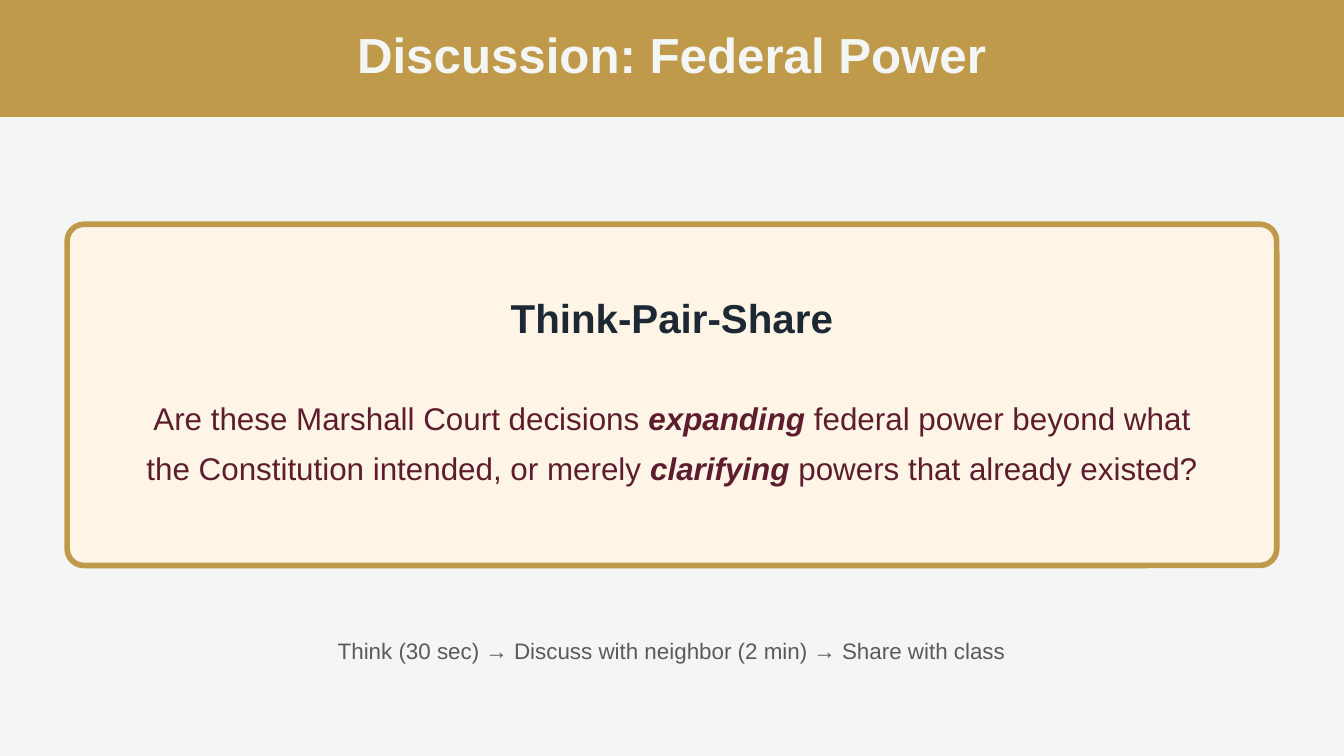
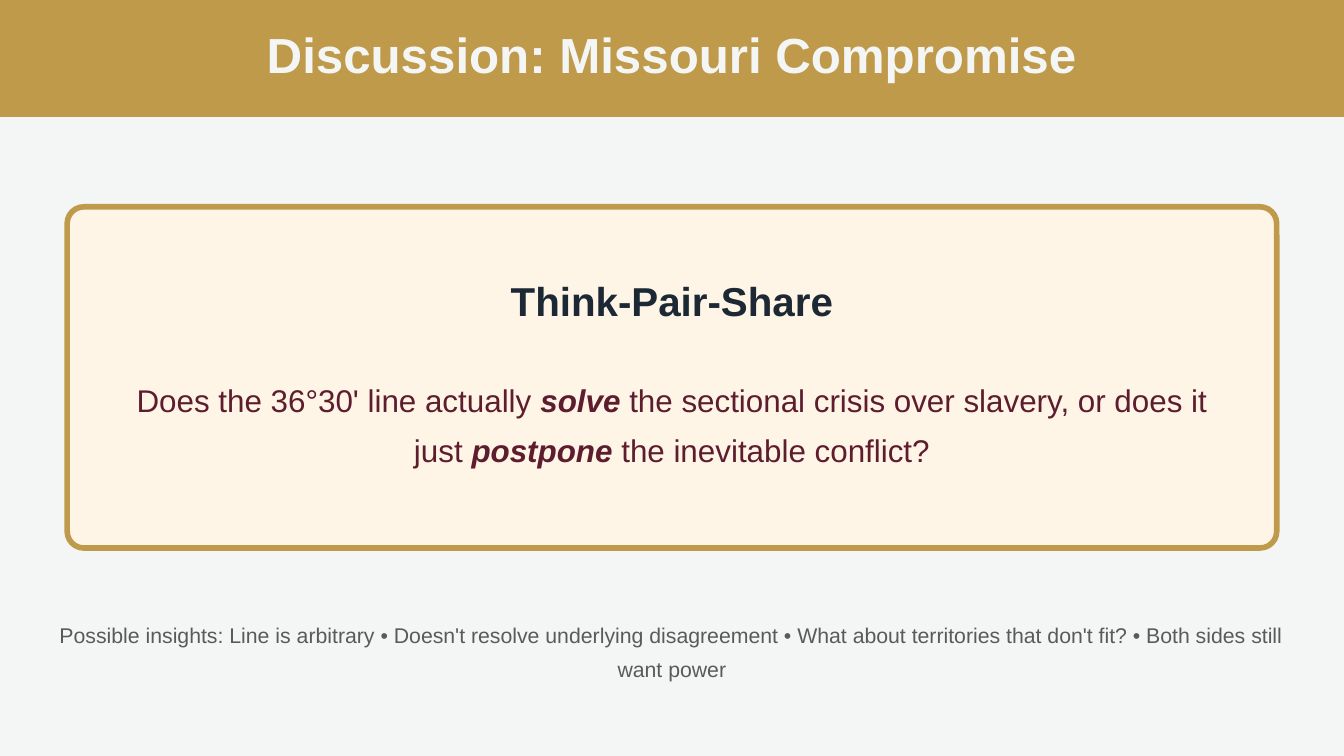
from pptx import Presentation
from pptx import util as u
from pptx.dml import color
from pptx.enum import shapes, text

WIDE, HIGH = 25.4, 14.29
GOLD, PALE, CREAM = "BF9A4A", "F4F6F6", "FFF5E6"
NAVY, WINE, GREY = "1C2833", "5D1D2E", "5A5A5A"
RECT = shapes.MSO_SHAPE.RECTANGLE
ROUND = shapes.MSO_SHAPE.ROUNDED_RECTANGLE

TALKS = [
    {
        "title": ("Discussion: Federal Power", 12.34),
        "top": 4.24,
        "ask": "Are these Marshall Court decisions *expanding* federal power beyond what "
               "the Constitution intended, or merely *clarifying* powers that already existed?",
        "foot": "Think (30 sec) → Discuss with neighbor (2 min) → Share with class",
        "area": (11.96, 12.88, 0.58),
        "size": 12,
        "lead": 16.8,
    },
    {
        "title": ("Discussion: Missouri Compromise", 15.62),
        "top": 3.91,
        "ask": "Does the 36°30' line actually *solve* the sectional crisis over slavery, "
               "or does it just *postpone* the inevitable conflict?",
        "foot": "Possible insights: Line is arbitrary • Doesn't resolve underlying disagreement "
                "• What about territories that don't fit? • Both sides still want power",
        "area": (11.61, 23.32, 1.3),
        "size": 11.4,
        "lead": 18.2,
    },
]


def paint(item, tone):
    """Give a fill or font the colour named by a hex string."""
    if hasattr(item, "solid"):
        item.solid()
        item = item.fore_color
    else:
        item = item.color
    item.rgb = color.RGBColor.from_string(tone)


def apply(item, form):
    """Set each attribute in a dict of format values."""
    for name, value in form.items():
        setattr(item, name, value)


def place(top, width, height):
    """Return the lengths of an area centred across the slide."""
    return [u.Cm(n) for n in ((WIDE - width) / 2, top, width, height)]


def panel(slide, kind, area, fill):
    """Add a plain filled shape without an outline."""
    shape = slide.shapes.add_shape(kind, *place(*area))
    shape.shadow.inherit = False
    paint(shape.fill, fill)
    shape.line.fill.background()
    return shape


def card(slide, top):
    """Add the rounded question card with its gold border."""
    shape = panel(slide, ROUND, (top, 22.86, 6.45), CREAM)
    shape.adjustments[0] = 0.049
    paint(shape.line.fill, GOLD)
    shape.line.width = u.Pt(3)


def label(slide, words, area, tone, size, lead, bold=False, before=0, after=0):
    """Add a centred line of text, with starred words in bold italic."""
    frame = slide.shapes.add_textbox(*place(*area)).text_frame
    apply(frame, {
        "word_wrap": True,
        "margin_left": 0,
        "margin_top": 0,
        "margin_right": 0,
        "margin_bottom": 0,
    })
    para = frame.paragraphs[0]
    apply(para, {
        "alignment": text.PP_ALIGN.CENTER,
        "line_spacing": u.Pt(lead),
        "space_before": u.Pt(before),
        "space_after": u.Pt(after),
    })
    for spot, part in enumerate(words.split("*")):
        run = para.add_run()
        run.text = part
        stress = spot % 2 == 1
        apply(run.font, {
            "name": "Arial",
            "size": u.Pt(size),
            "bold": bold or stress,
            "italic": stress,
        })
        paint(run.font, tone)


def header(slide, words, width):
    """Add the gold band and the slide title."""
    panel(slide, RECT, (0, WIDE, 2.21), GOLD)
    label(slide, words, (0.64, width, 0.94), PALE, 26.4, 26.4, bold=True)


def build(deck, talk):
    """Add one discussion slide."""
    slide = deck.slides.add_slide(deck.slide_layouts[6])
    paint(slide.background.fill, PALE)
    header(slide, *talk["title"])
    top = talk["top"]
    card(slide, top)
    label(slide, "Think-Pair-Share", (top + 1.37, 10.29, 0.84), NAVY, 21.6, 24,
          bold=True, after=24)
    label(slide, talk["ask"], (top + 3.06, 20.5, 1.9), WINE, 16.8, 26.9,
          before=3, after=3)
    label(slide, talk["foot"], talk["area"], GREY, talk["size"], talk["lead"],
          before=24, after=3)


def main():
    """Build and save the deck."""
    deck = Presentation()
    apply(deck, {"slide_width": u.Cm(WIDE), "slide_height": u.Cm(HIGH)})
    for talk in TALKS:
        build(deck, talk)
    deck.save("out.pptx")


if __name__ == "__main__":
    main()
